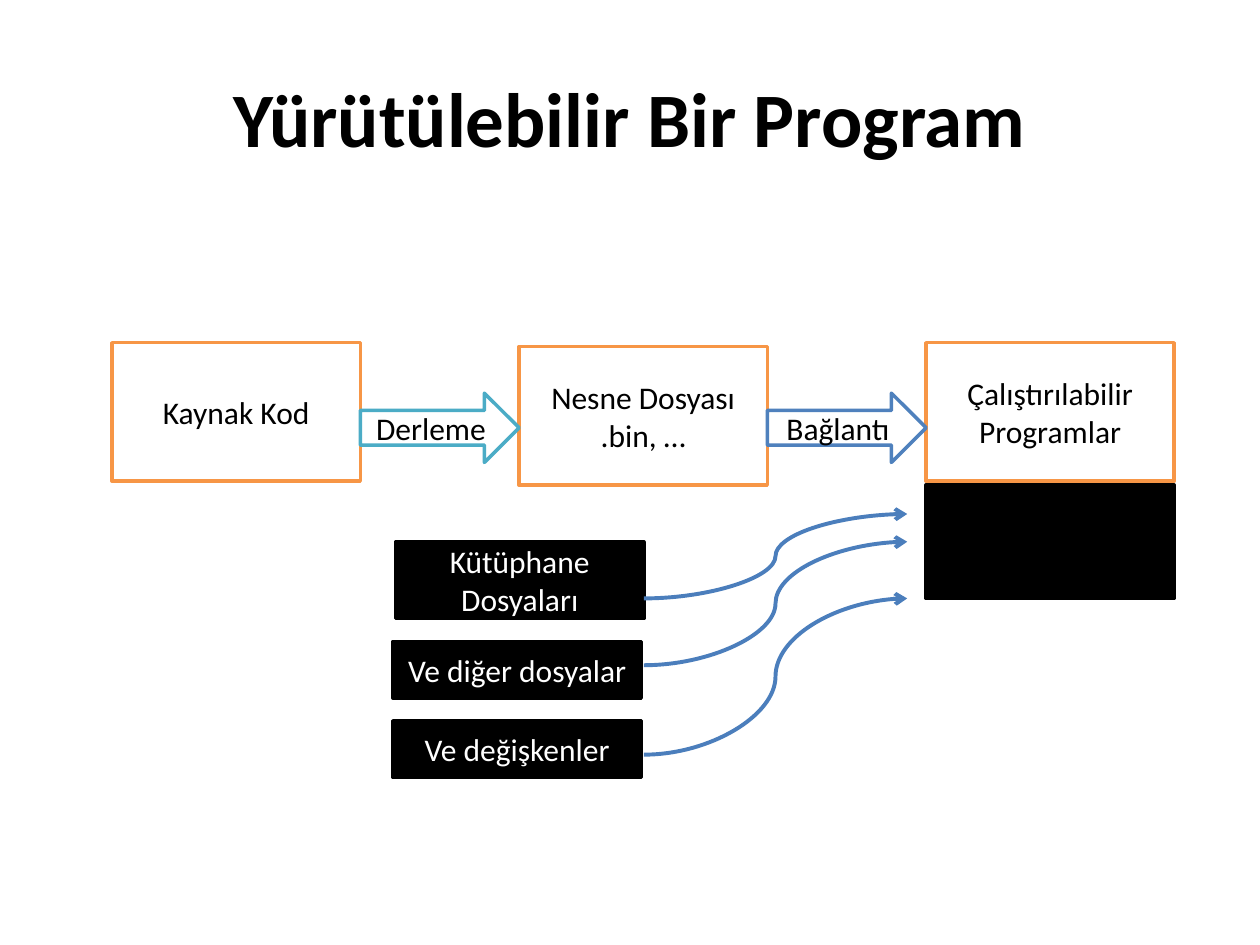
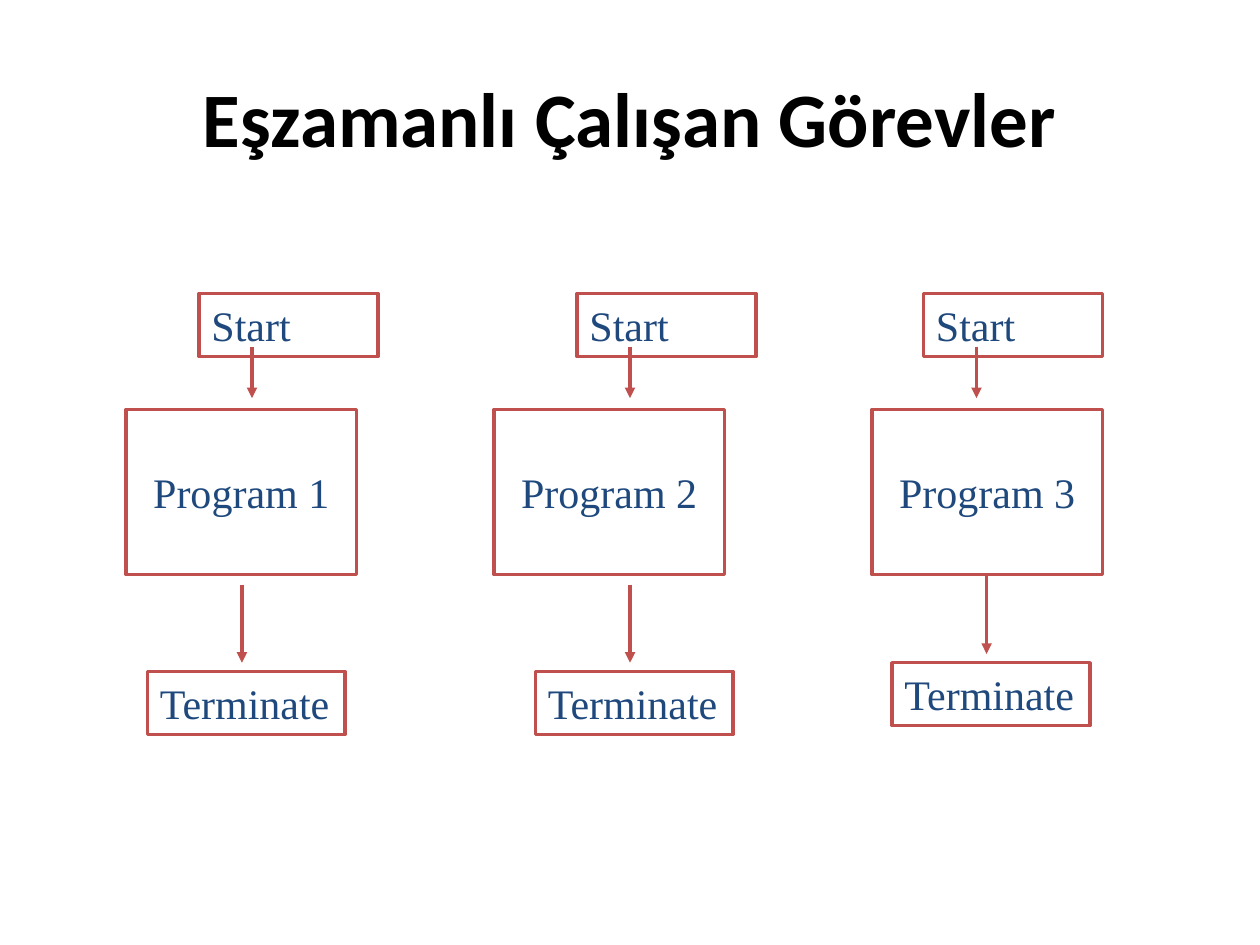
from dataclasses import dataclass
from lxml import etree
from pptx import Presentation
from pptx import util as u
from pptx.dml.color import RGBColor
from pptx.enum import shapes, text
from pptx.oxml import ns

COLUMNS, ROWS = 100, 75


@dataclass(frozen=True)
class Theme:
    """Colours, fonts and type sizes shared by the slides."""
    ink: str = "000000"
    paper: str = "FFFFFF"
    orange: str = "F79646"
    teal: str = "4BACC6"
    blue: str = "4F81BD"
    curve: str = "4B7EBC"
    red: str = "C0504D"
    navy: str = "1F497D"
    sans: str = "Calibri"
    serif: str = "Times New Roman"
    title: float = 44
    body: float = 18
    task: float = 24
    outline: float = 2
    curve_width: float = 2.25


THEME = Theme()


@dataclass(frozen=True)
class Box:
    """A rectangle in columns and rows of the slide grid."""
    left: float
    top: float
    width: float
    height: float

    def inner(self, left, top, width, height):
        """Return a box placed relative to this one's top left corner."""
        return Box(self.left + left, self.top + top, width, height)


class Grid:
    """Turns columns and rows into lengths on the slide."""

    def __init__(self, deck):
        self.column = deck.slide_width / COLUMNS
        self.row = deck.slide_height / ROWS

    def point(self, column, row):
        """Return the position of a grid point."""
        return u.Emu(round(column * self.column)), u.Emu(round(row * self.row))

    def place(self, box):
        """Return left, top, width and height of a box."""
        return *self.point(box.left, box.top), *self.point(box.width, box.height)


@dataclass(frozen=True)
class Style:
    """The look of a labelled shape."""
    line: str
    fill: str = THEME.paper
    color: str = THEME.ink
    font: str = THEME.sans
    size: float = THEME.body
    align: text.PP_ALIGN = text.PP_ALIGN.CENTER
    anchor: text.MSO_ANCHOR = text.MSO_ANCHOR.MIDDLE
    wrap: bool = True


STAGE = Style(THEME.orange)
FILE = Style(THEME.ink, THEME.ink, THEME.paper)
PROGRAM = Style(THEME.red, color=THEME.navy, font=THEME.serif, size=THEME.task, wrap=False)
TAG = Style(THEME.red, color=THEME.navy, font=THEME.serif, size=THEME.task,
            align=text.PP_ALIGN.LEFT, anchor=text.MSO_ANCHOR.TOP, wrap=False)


def write(para, words, font, size, color, align, bold=False):
    """Fill a paragraph and format its runs."""
    para.text = words
    para.alignment = align
    for span in para.runs:
        span.font.name, span.font.size, span.font.bold = font, u.Pt(size), bold
        span.font.color.rgb = RGBColor.from_string(color)


def add_page(deck, grid, heading):
    """Add a title-only slide with the shared heading style."""
    page = deck.slides.add_slide(deck.slide_layouts[5])
    title = page.shapes.title
    title.left, title.top, title.width, title.height = grid.place(Box(5, 3, 90, 12.5))
    title.text_frame.vertical_anchor = text.MSO_ANCHOR.MIDDLE
    write(title.text_frame.paragraphs[0], heading, THEME.sans, THEME.title,
          THEME.ink, text.PP_ALIGN.CENTER, bold=True)
    return page


def add_block(page, grid, box, style, words="", kind=shapes.MSO_SHAPE.RECTANGLE):
    """Draw an outlined shape with its label."""
    shape = page.shapes.add_shape(kind, *grid.place(box))
    shape.shadow.inherit = False
    shape.fill.solid()
    shape.fill.fore_color.rgb = RGBColor.from_string(style.fill)
    shape.line.color.rgb = RGBColor.from_string(style.line)
    shape.line.width = u.Pt(THEME.outline)
    if words:
        frame = shape.text_frame
        frame.word_wrap = style.wrap
        frame.vertical_anchor = style.anchor
        write(frame.paragraphs[0], words, style.font, style.size, style.color, style.align)


def add_arrow(page, grid, start, end, color, width, head, kind=shapes.MSO_CONNECTOR.STRAIGHT):
    """Draw a connector with an arrowhead at its end."""
    arrow = page.shapes.add_connector(kind, *grid.point(*start), *grid.point(*end))
    arrow.line.color.rgb = RGBColor.from_string(color)
    arrow.line.width = u.Pt(width)
    etree.SubElement(arrow.line._get_or_add_ln(), ns.qn("a:tailEnd"), type=head)
    etree.SubElement(arrow._element.spPr, ns.qn("a:effectLst"))


def add_stages(page, grid, box):
    """Place the three build stages and the block arrows between them."""
    width, height, step = 19.7, 11, 32.3
    stages = [("Kaynak Kod", 0), ("Nesne Dosyası\n.bin, …", 0.3),
              ("Çalıştırılabilir Programlar", 0)]
    for index, (words, drop) in enumerate(stages):
        add_block(page, grid, box.inner(index * step, drop, width, height), STAGE, words)
    for index, (words, color) in enumerate([("Derleme", THEME.teal), ("Bağlantı", THEME.blue)]):
        area = box.inner(index * step + width, 4, step - width, 5.5)
        add_block(page, grid, area, Style(color), words, shapes.MSO_SHAPE.RIGHT_ARROW)


def add_linked_files(page, grid, box):
    """Place the linked files, the program body and the curves joining them."""
    width, height = 19.7, 4.5
    for index in range(2):
        add_block(page, grid, box.inner(42.3, index * height, width, height), FILE)
    files = [("Kütüphane Dosyaları", 0.2, 4.5, 6.1), ("Ve diğer dosyalar", 0, 12.4, height),
             ("Ve değişkenler", 0, 18.7, height)]
    for words, left, top, tall in files:
        add_block(page, grid, box.inner(left, top, width, tall), FILE, words)
    for start, end in [(9, 2.3), (14.3, 4.5), (21.4, 9)]:
        add_arrow(page, grid, (box.left + 19.9, box.top + start),
                  (box.left + 40.8, box.top + end), THEME.curve, THEME.curve_width,
                  "arrow", shapes.MSO_CONNECTOR.CURVE)


def add_task(page, grid, box, name, start_left, end_left, end_top):
    """Place one task from start through program to termination."""
    def down(left, top, length):
        column, row = box.left + left, box.top + top
        add_arrow(page, grid, (column, row), (column, row + length),
                  THEME.red, THEME.outline, "triangle")

    add_block(page, grid, box.inner(0, 9.2, box.width, 13.1), PROGRAM, name)
    add_block(page, grid, box.inner(start_left, 0, 14.2, 5), TAG, "Start")
    down(start_left + 4.2, 4.2, 4.1)
    add_block(page, grid, box.inner(end_left, end_top, 15.7, 5), TAG, "Terminate")
    down(end_left + 7.5, end_top - 6.9, 6.2)


def build_program_page(deck, grid):
    """Build the slide on how an executable program is made."""
    page = add_page(deck, grid, "Yürütülebilir Bir Program")
    add_stages(page, grid, Box(8.9, 27.2, 84.3, 11.3))
    add_linked_files(page, grid, Box(31.2, 38.5, 62, 23.2))


def build_tasks_page(deck, grid):
    """Build the slide on tasks running side by side."""
    page = add_page(deck, grid, "Eşzamanlı Çalışan Görevler")
    tasks = [(10, 5.8, 1.7, 30), (39.2, 6.6, 3.3, 30), (69.2, 4.1, 1.6, 29.3)]
    for number, (left, *offsets) in enumerate(tasks, 1):
        add_task(page, grid, Box(left, 23.3, 18.3, 35), f"Program {number}", *offsets)


def main():
    """Build and save the deck."""
    deck = Presentation()
    deck.slide_width, deck.slide_height = u.Inches(10), u.Inches(7.5)
    grid = Grid(deck)
    build_program_page(deck, grid)
    build_tasks_page(deck, grid)
    deck.save("out.pptx")


if __name__ == "__main__":
    main()
